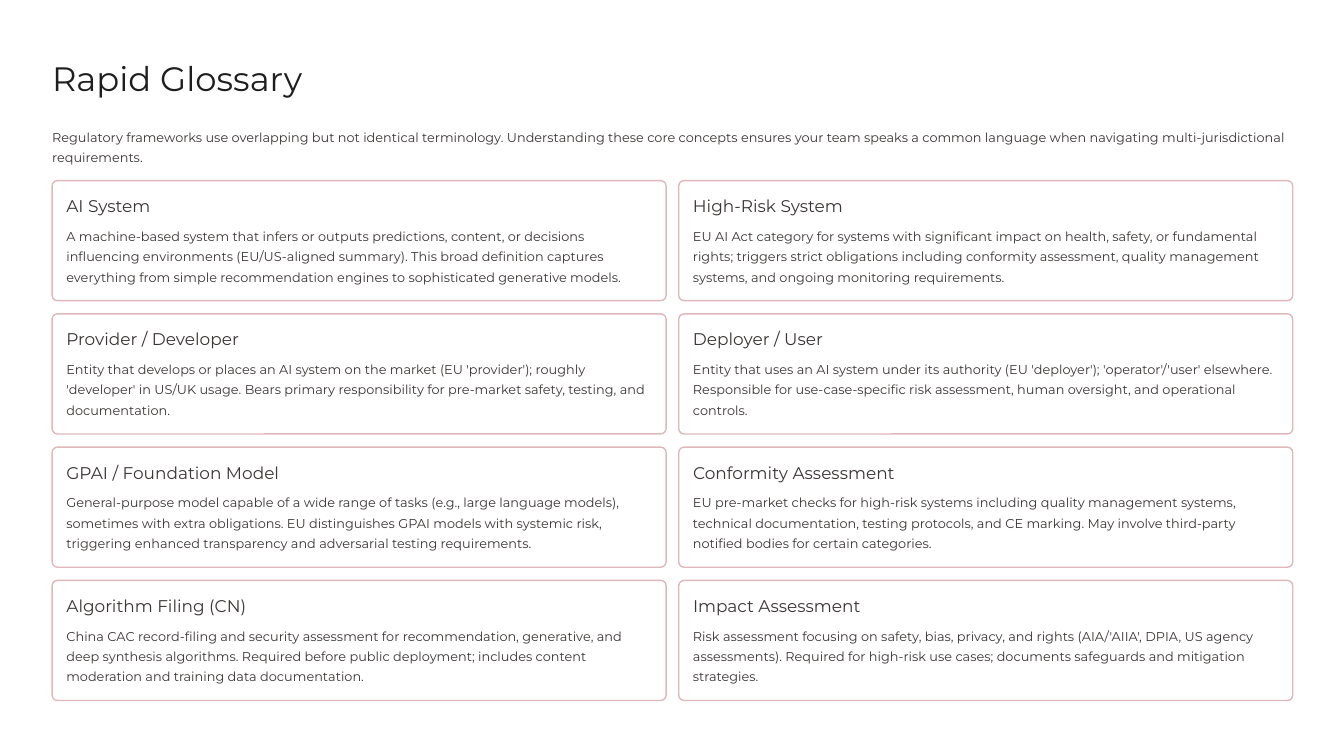
from pptx import Presentation
from pptx.dml.color import RGBColor
from pptx.enum.shapes import MSO_SHAPE
from pptx.enum.text import MSO_ANCHOR, MSO_AUTO_SIZE, PP_ALIGN
from pptx.util import Inches, Pt

ROUND = MSO_SHAPE.ROUNDED_RECTANGLE
TOP = MSO_ANCHOR.TOP
FIXED = MSO_AUTO_SIZE.NONE
LEFT = PP_ALIGN.LEFT

FONT = "Montserrat"
DARK, GREY, PINK, WHITE = "1F1E1E", "3B3535", "DFB8BC", "FFFFFF"

INTRO = (
    "Regulatory frameworks use overlapping but not identical terminology. "
    "Understanding these core concepts ensures your team speaks a common language "
    "when navigating multi-jurisdictional requirements."
)

TERMS = [
    ("AI System", 2.03,
     "A machine-based system that infers or outputs predictions, content, or decisions "
     "influencing environments (EU/US-aligned summary). This broad definition captures "
     "everything from simple recommendation engines to sophisticated generative models."),
    ("High-Risk System", 2.03,
     "EU AI Act category for systems with significant impact on health, safety, or "
     "fundamental rights; triggers strict obligations including conformity assessment, "
     "quality management systems, and ongoing monitoring requirements."),
    ("Provider / Developer", 2.13,
     "Entity that develops or places an AI system on the market (EU 'provider'); roughly "
     "'developer' in US/UK usage. Bears primary responsibility for pre-market safety, "
     "testing, and documentation."),
    ("Deployer / User", 2.03,
     "Entity that uses an AI system under its authority (EU 'deployer'); "
     "'operator'/'user' elsewhere. Responsible for use-case-specific risk assessment, "
     "human oversight, and operational controls."),
    ("GPAI / Foundation Model", 2.58,
     "General-purpose model capable of a wide range of tasks (e.g., large language "
     "models), sometimes with extra obligations. EU distinguishes GPAI models with "
     "systemic risk, triggering enhanced transparency and adversarial testing "
     "requirements."),
    ("Conformity Assessment", 2.51,
     "EU pre-market checks for high-risk systems including quality management systems, "
     "technical documentation, testing protocols, and CE marking. May involve "
     "third-party notified bodies for certain categories."),
    ("Algorithm Filing (CN)", 2.21,
     "China CAC record-filing and security assessment for recommendation, generative, "
     "and deep synthesis algorithms. Required before public deployment; includes content "
     "moderation and training data documentation."),
    ("Impact Assessment", 2.05,
     "Risk assessment focusing on safety, bias, privacy, and rights (AIA/'AIIA', DPIA, "
     "US agency assessments). Required for high-risk use cases; documents safeguards and "
     "mitigation strategies."),
]


def color(code):
    return RGBColor.from_string(code)


def write(shape, text, size=11, lead=17.5, ink=GREY, wrap=True):
    frame = shape.text_frame
    frame.margin_left = frame.margin_right = 0
    frame.margin_top = frame.margin_bottom = 0
    frame.auto_size = FIXED
    frame.word_wrap = wrap
    frame.vertical_anchor = TOP
    para = frame.paragraphs[0]
    para.alignment = LEFT
    para.line_spacing = Pt(lead)
    run = para.add_run()
    run.text = text
    run.font.name = FONT
    run.font.size = Pt(size)
    run.font.color.rgb = color(ink)


def add_text(slide, box, text, **style):
    write(slide.shapes.add_textbox(*map(Inches, box)), text, **style)


def add_head(slide, x, y, w):
    title = slide.shapes.title
    title.left, title.top = Inches(x), Inches(y)
    title.width, title.height = Inches(4.05), Inches(0.51)
    write(title, "Rapid Glossary", size=29, lead=36, ink=DARK, wrap=False)
    add_text(slide, (x, y + 0.81, w, 0.49), INTRO)


def add_card(slide, x, y, w, h, term, span, body):
    card = slide.shapes.add_shape(ROUND, *map(Inches, (x, y, w, h)))
    card.adjustments[0] = 0.045
    card.shadow.inherit = False
    card.fill.solid()
    card.fill.fore_color.rgb = color(WHITE)
    card.line.color.rgb = color(PINK)
    card.line.width = Pt(1.2)
    pad = 0.17
    add_text(slide, (x + pad, y + pad, span, 0.25), term,
             size=14.5, lead=18, wrap=False)
    add_text(slide, (x + pad, y + 0.51, w - 2 * pad, 0.74), body)


def add_grid(slide, x, y, w, h):
    wide, high = 7.31, 1.43
    rows = len(TERMS) // 2
    step = (h - high) / (rows - 1)
    for i, term in enumerate(TERMS):
        row, col = divmod(i, 2)
        add_card(slide, x + col * (w - wide), y + row * step, wide, high, *term)


def main():
    deck = Presentation()
    deck.slide_width, deck.slide_height = Inches(16), Inches(9)
    slide = deck.slides.add_slide(deck.slide_layouts[5])
    slide.background.fill.solid()
    slide.background.fill.fore_color.rgb = color(WHITE)
    add_head(slide, 0.62, 0.67, 14.77)
    add_grid(slide, 0.62, 2.15, 14.77, 6.19)
    deck.save("out.pptx")


if __name__ == "__main__":
    main()
